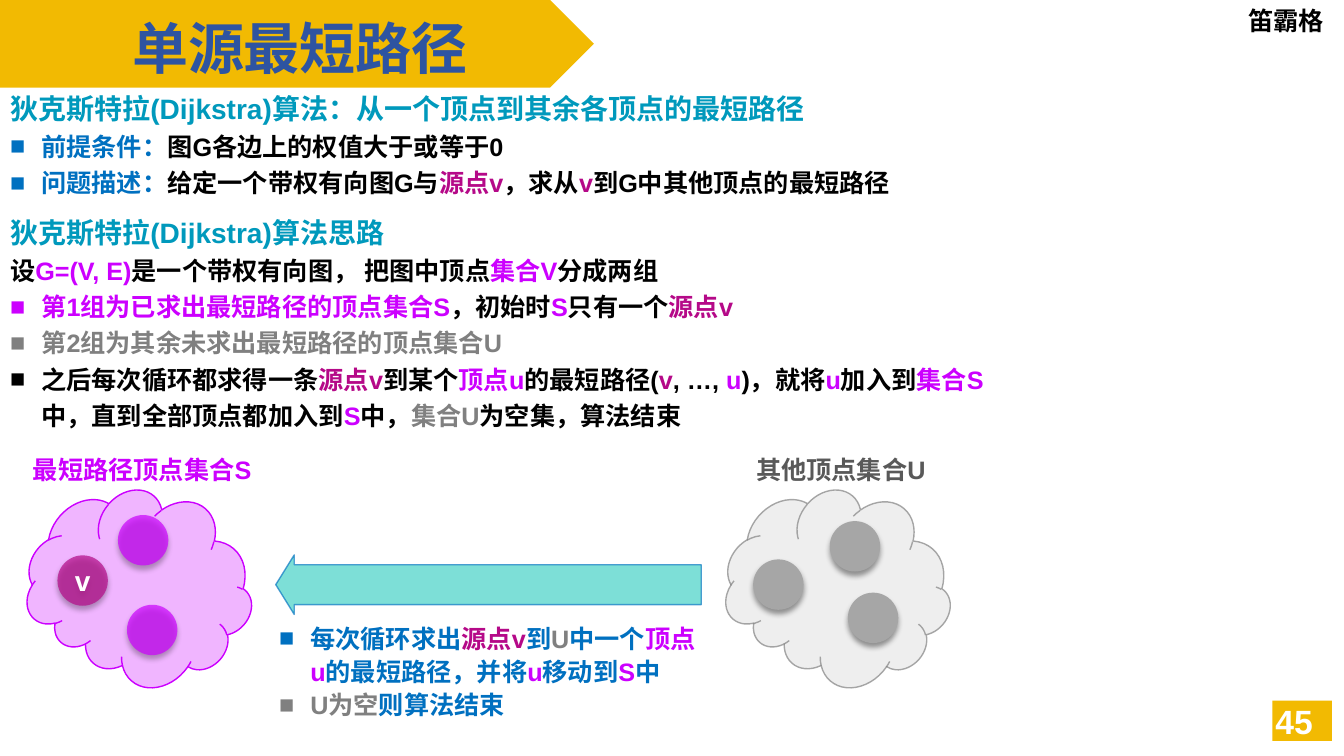
"""Build the slide that explains Dijkstra's single-source shortest paths."""
from lxml.etree import SubElement
from pptx import Presentation
from pptx.dml.color import RGBColor
from pptx.enum.shapes import MSO_SHAPE as Preset
from pptx.enum.text import MSO_ANCHOR as Anchor, MSO_AUTO_SIZE as AutoSize, PP_ALIGN as Align
from pptx.oxml.ns import qn
from pptx.util import Emu, Pt

EMU_PER_PX = 9144
BULLET_INDENT = 31
DOT_SIZE = 50
CLOUD_WIDTH, CLOUD_HEIGHT = 213, 194
LABEL_WIDTH, LABEL_HEIGHT = 288, 40

BLACK = RGBColor(0x00, 0x00, 0x00)
WHITE = RGBColor(0xFF, 0xFF, 0xFF)
GOLD = RGBColor(0xF2, 0xBA, 0x02)
NAVY = RGBColor(0x2E, 0x54, 0xA1)
TEAL = RGBColor(0x00, 0x99, 0xBC)
BLUE = RGBColor(0x00, 0x70, 0xC0)
PURPLE = RGBColor(0xCC, 0x00, 0xFF)
MAGENTA = RGBColor(0xB5, 0x09, 0x88)
GRAY = RGBColor(0x80, 0x80, 0x80)
DARK_GRAY = RGBColor(0x59, 0x59, 0x59)
DOT_GRAY = RGBColor(0xA6, 0xA6, 0xA6)
PALE_GRAY = RGBColor(0xEE, 0xEE, 0xEE)
AQUA = RGBColor(0x7D, 0xDF, 0xD7)


def px(length):
    """Turn whole px, a hundred to the inch, into EMU."""
    return Emu(length * EMU_PER_PX)


def place(shape, left, top, width, height):
    """Move and size a shape."""
    shape.left, shape.top = px(left), px(top)
    shape.width, shape.height = px(width), px(height)


def write(frame, paragraphs, size=18, font="Arial", align=Align.LEFT,
          anchor=Anchor.TOP, spacing=1.0, wrap=True):
    """Fill a frame with paragraphs given as (runs, bulleted, size or None)."""
    frame.word_wrap = wrap
    frame.auto_size = AutoSize.NONE
    frame.vertical_anchor = anchor
    for index, (runs, bulleted, own_size) in enumerate(paragraphs):
        paragraph = frame.add_paragraph() if index else frame.paragraphs[0]
        paragraph.alignment = align
        paragraph.line_spacing = spacing
        paragraph.space_before = paragraph.space_after = Pt(0)
        properties = paragraph._p.get_or_add_pPr()
        indent = px(BULLET_INDENT) if bulleted else 0
        properties.set("marL", str(indent))
        properties.set("indent", str(-indent))
        if bulleted:
            SubElement(properties, qn("a:buFont"), typeface="Arial")
            SubElement(properties, qn("a:buChar"), char="■")
        else:
            SubElement(properties, qn("a:buNone"))
        for text, color in runs:
            run = paragraph.add_run()
            run.text = text
            run.font.name = font
            run.font.size = Pt(own_size or size)
            run.font.bold = True
            run.font.color.rgb = color


def line(*runs, bulleted=False, size=None):
    """Describe one paragraph."""
    return runs, bulleted, size


def bullet(*runs):
    """Describe one bulleted paragraph."""
    return line(*runs, bulleted=True)


def add_text(slide, box, paragraphs, **text_format):
    """Add a text box."""
    text_box = slide.shapes.add_textbox(*map(px, box))
    write(text_box.text_frame, paragraphs, **text_format)


def set_alpha(shape, color_query, percent):
    """Make a solid colour of a shape partly transparent."""
    for color in shape.element.spPr.xpath(color_query):
        SubElement(color, qn("a:alpha"), val=str(percent * 1000))


def add_preset(slide, preset, box, fill, outline=None, fill_alpha=100, line_alpha=100):
    """Add a flat preset shape."""
    shape = slide.shapes.add_shape(preset, *map(px, box))
    shape.shadow.inherit = False
    shape.fill.solid()
    shape.fill.fore_color.rgb = fill
    if fill_alpha < 100:
        set_alpha(shape, "a:solidFill/a:srgbClr", fill_alpha)
    if outline is None:
        shape.line.fill.background()
    else:
        shape.line.color.rgb = outline
        shape.line.width = Pt(1)
        if line_alpha < 100:
            set_alpha(shape, "a:ln/a:solidFill/a:srgbClr", line_alpha)
    return shape


def add_dot(slide, left, top, color, alpha, name):
    """Add a round vertex with a soft shadow."""
    dot = add_preset(slide, Preset.OVAL, (left, top, DOT_SIZE, DOT_SIZE), color, fill_alpha=alpha)
    effects = dot.element.spPr.find(qn("a:effectLst"))
    shadow = SubElement(effects, qn("a:outerShdw"), blurRad=str(Pt(4)), dist=str(Pt(3)),
                        dir="5400000", rotWithShape="0")
    shadow_color = SubElement(shadow, qn("a:srgbClr"), val="000000")
    SubElement(shadow_color, qn("a:alpha"), val="40000")
    if name:
        write(dot.text_frame, [line((name, WHITE))], size=20, align=Align.CENTER,
              anchor=Anchor.MIDDLE, wrap=False)


def draw_header(slide, width):
    """Draw the banner with the title and the name at the right."""
    title = slide.shapes.title
    banner = add_preset(slide, Preset.PENTAGON, (0, 0, 589, 87), GOLD)
    title.element.addprevious(banner.element)
    place(title, 121, 8, 400, 77)
    write(title.text_frame, [line(("单源最短路径", NAVY))], size=40, font="Calibri")
    add_text(slide, (width - 105, 0, 105, 40), [line(("笛霸格", BLACK))], font="Calibri")


def draw_page_number(slide, left, top):
    """Draw the page number on its block."""
    add_preset(slide, Preset.RECTANGLE, (left, top, 59, 40), GOLD)
    add_text(slide, (left - 20, top, 70, 40), [line(("45", WHITE))], size=24,
             align=Align.RIGHT, anchor=Anchor.MIDDLE)


def draw_list(placeholder, box, paragraphs):
    """Place a body placeholder and fill it."""
    place(placeholder, *box)
    write(placeholder.text_frame, paragraphs, spacing=1.2)


def draw_vertex_set(slide, left, top, label, label_color, fill, outline, dots,
                    fill_alpha=100, line_alpha=100):
    """Draw a labelled cloud whose dots are (x, y, colour, alpha, name)."""
    cloud = add_preset(slide, Preset.CLOUD, (left, top + 37, CLOUD_WIDTH, CLOUD_HEIGHT),
                       fill, outline, fill_alpha, line_alpha)
    cloud.rotation = 221
    label_left = left + (CLOUD_WIDTH - LABEL_WIDTH) // 2
    add_text(slide, (label_left, top, LABEL_WIDTH, LABEL_HEIGHT),
             [line((label, label_color))], align=Align.CENTER)
    for x, y, color, alpha, name in dots:
        add_dot(slide, left + x, top + y, color, alpha, name)


def draw_move(slide, left, top):
    """Draw the arrow between the sets and the steps below it."""
    length, thickness = 422, 59
    arrow = add_preset(slide, Preset.DOWN_ARROW,
                       (left + (length - thickness) // 2, top - (length - thickness) // 2,
                        thickness, length), AQUA, BLUE, line_alpha=66)
    arrow.rotation = 90
    arrow.adjustments[0], arrow.adjustments[1] = 0.67, 0.31
    add_text(slide, (left - 7, top + 60, 440, 108), [
        bullet(("每次循环求出", BLUE), ("源点v", MAGENTA), ("到", BLUE), ("U", GRAY),
               ("中一个", BLUE), ("顶点u", PURPLE), ("的最短路径，并将", BLUE),
               ("u", PURPLE), ("移动到", BLUE), ("S", PURPLE), ("中", BLUE)),
        bullet(("U为空", GRAY), ("则算法结束", BLUE)),
    ], spacing=1.1)


def main():
    """Build and save the presentation."""
    presentation = Presentation()
    presentation.slide_width, presentation.slide_height = px(1333), px(750)
    slide = presentation.slides.add_slide(presentation.slide_layouts.get_by_name("Two Content"))
    draw_header(slide, 1333)
    draw_page_number(slide, 1262, 695)
    draw_list(slide.placeholders[1], (0, 79, 1000, 120), [
        line(("狄克斯特拉(Dijkstra)算法：从一个顶点到其余各顶点的最短路径", TEAL), size=20),
        bullet(("前提条件：", BLUE), ("图G各边上的权值大于或等于0", BLACK)),
        bullet(("问题描述：", BLUE), ("给定一个带权有向图G与", BLACK), ("源点v", MAGENTA),
               ("，求从", BLACK), ("v", MAGENTA), ("到G中其他顶点的最短路径", BLACK)),
    ])
    draw_list(slide.placeholders[2], (0, 202, 1000, 229), [
        line(("狄克斯特拉(Dijkstra)算法思路", TEAL), size=20),
        line(("设", BLACK), ("G=(V, E)", PURPLE), ("是一个带权有向图， 把图中顶点", BLACK),
             ("集合V", PURPLE), ("分成两组", BLACK)),
        bullet(("第1组为已求出最短路径的顶点集合S", PURPLE), ("，初始时", BLACK),
               ("S", PURPLE), ("只有一个", BLACK), ("源点v", MAGENTA)),
        bullet(("第2组为其余未求出最短路径的顶点集合U", GRAY)),
        bullet(("之后每次循环都求得一条", BLACK), ("源点v", MAGENTA), ("到某个", BLACK),
               ("顶点u", PURPLE), ("的最短路径(", BLACK), ("v", MAGENTA), (", …, ", BLACK),
               ("u", PURPLE), (")，就将", BLACK), ("u", PURPLE), ("加入到", BLACK),
               ("集合S", PURPLE), ("中，直到全部顶点都加入到", BLACK), ("S", PURPLE),
               ("中，", BLACK), ("集合U", GRAY), ("为空集，算法结束", BLACK)),
    ])
    draw_vertex_set(slide, 35, 446, "最短路径顶点集合S", PURPLE, PURPLE, PURPLE, [
        (22, 105, MAGENTA, 69, "v"), (91, 154, PURPLE, 69, ""), (82, 65, PURPLE, 69, ""),
    ], fill_alpha=29)
    draw_vertex_set(slide, 728, 446, "其他顶点集合U", DARK_GRAY, PALE_GRAY, GRAY, [
        (95, 71, DOT_GRAY, 100, ""), (113, 142, DOT_GRAY, 100, ""), (19, 109, DOT_GRAY, 100, ""),
    ], line_alpha=67)
    draw_move(slide, 274, 550)
    presentation.save("out.pptx")


if __name__ == "__main__":
    main()
